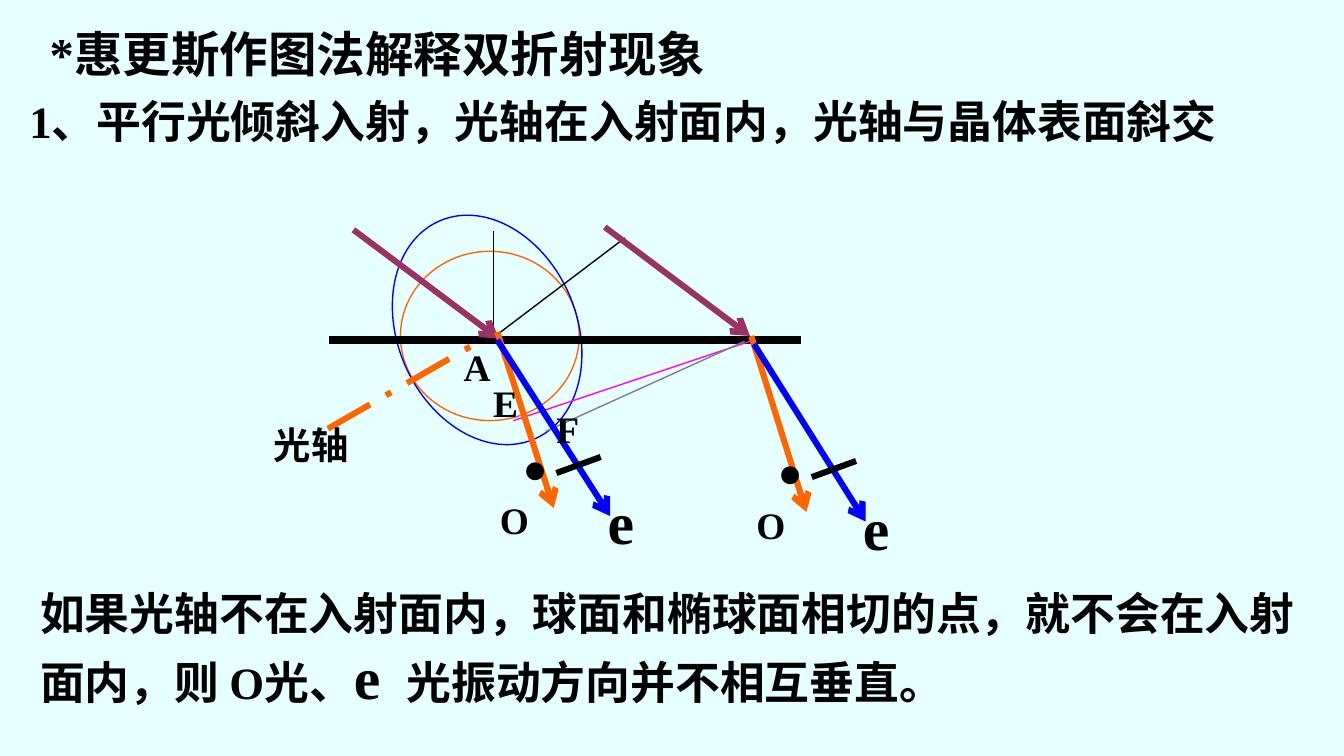
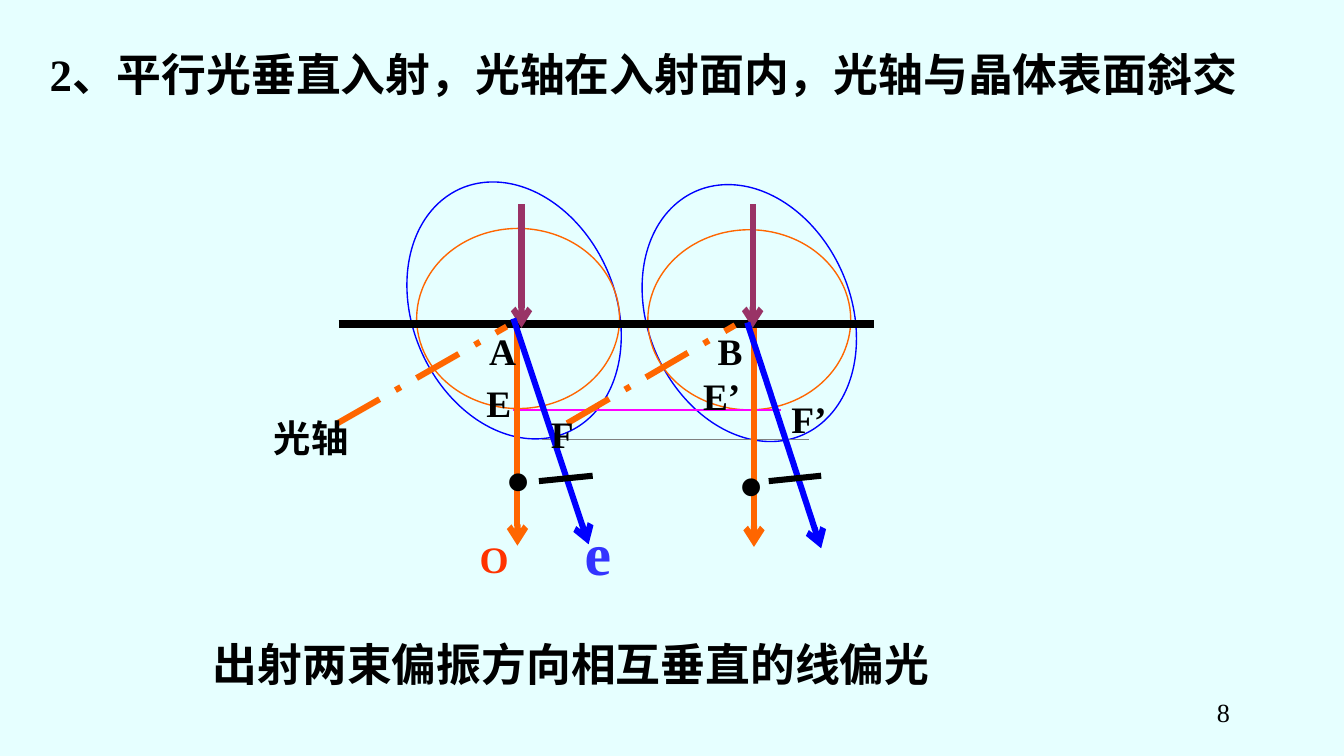
"""Build two slides on Huygens constructions for double refraction."""
from dataclasses import dataclass

from lxml import etree
from pptx import Presentation
from pptx import util as u
from pptx.dml.color import RGBColor
from pptx.enum import dml, shapes, text
from pptx.oxml.ns import qn


@dataclass(frozen=True)
class Theme:
    font: str = "Times New Roman"
    back: str = "E6FFFF"
    ink: str = "000000"
    o_ray: str = "FF6600"
    e_ray: str = "0000FF"
    incident: str = "993366"
    o_front: str = "FF00FF"
    e_front: str = "808080"
    o_label: str = "FF3300"
    e_label: str = "3333FF"
    heading: int = 26
    body: int = 24
    label: int = 20
    e_size: int = 32
    dot: int = 40
    number: int = 14
    thin: float = 0.75
    ray: float = 3.25
    surface: float = 4.5


T = Theme()
LEFT, CENTER, RIGHT = text.PP_ALIGN.LEFT, text.PP_ALIGN.CENTER, text.PP_ALIGN.RIGHT


def put_text(sp, words, box, size, color=T.ink, align=LEFT, bold=True, wrap=True):
    """Place a text shape, fill its first paragraph and return it."""
    sp.left, sp.top, sp.width, sp.height = map(u.Inches, box)
    tf = sp.text_frame
    tf.word_wrap = wrap
    tf.auto_size = text.MSO_AUTO_SIZE.SHAPE_TO_FIT_TEXT
    tf.vertical_anchor = text.MSO_ANCHOR.TOP
    p = tf.paragraphs[0]
    p.alignment = align
    p.font.name, p.font.size, p.font.bold = T.font, u.Pt(size), bold
    p.font.color.rgb = RGBColor.from_string(color)
    p.add_run().text = words
    return p


def add_line(s, x1, y1, x2, y2, color, width, arrow=False, dashed=False):
    """Draw a straight line, with an arrowhead at its end or dashes if asked."""
    sp = s.shapes.add_connector(shapes.MSO_CONNECTOR.STRAIGHT, *map(u.Inches, (x1, y1, x2, y2)))
    sp.line.color.rgb = RGBColor.from_string(color)
    sp.line.width = u.Pt(width)
    if dashed:
        sp.line.dash_style = dml.MSO_LINE.LONG_DASH_DOT
    if arrow:
        etree.SubElement(sp.line._ln, qn("a:tailEnd"), type="arrow")
    etree.SubElement(sp._element.spPr, qn("a:effectLst"))


prs = Presentation()
prs.slide_width = u.Inches(10)
prs.slide_height = prs.slide_width * 9 // 16

oblique = {
    "title": ("*惠更斯作图法解释双折射现象", (0.27, 0.13, 6.62, 0.54), T.heading),
    "waves": [
        (2.98, 1.87, 1.33, 1.26, 0, T.o_ray),
        (2.96, 1.57, 1.33, 1.77, 336.3, T.e_ray),
    ],
    "surface": (2.45, 2.53, 5.96, 2.53),
    "thin": [
        (3.66, 2.52, 4.65, 1.77, T.ink),
        (3.67, 1.72, 3.67, 2.53, T.ink),
        (3.82, 3.13, 5.58, 2.54, T.o_front),
        (4.06, 3.21, 5.54, 2.54, T.e_front),
    ],
    "axes": [(2.44, 3.19, 3.55, 2.55)],
    "rays": [
        (2.63, 1.71, 3.71, 2.52, T.incident),
        (4.5, 1.69, 5.58, 2.5, T.incident),
        (3.7, 2.47, 4.12, 3.78, T.o_ray),
        (3.7, 2.53, 4.54, 3.84, T.e_ray),
        (5.59, 2.5, 6, 3.81, T.o_ray),
        (5.61, 2.56, 6.44, 3.88, T.e_ray),
    ],
    "ticks": [(4.14, 3.52, 4.47, 3.4), (6.04, 3.55, 6.37, 3.43)],
    "dots": [(3.79, 3.09), (5.69, 3.12)],
    "labels": [
        ("光轴", 1.93, 3.09, 0.77, T.ink),
        ("A", 3.35, 2.51, 0.4, T.ink),
        ("E", 3.57, 2.78, 0.38, T.ink),
        ("F", 4.04, 2.97, 0.37, T.ink),
        ("O", 3.62, 3.65, 0.41, T.ink),
        ("O", 5.53, 3.69, 0.41, T.ink),
    ],
    "e_labels": [(4.42, 3.56, T.ink), (6.32, 3.6, T.ink)],
}

normal = {
    "title": ("2、平行光垂直入射，光轴在入射面内，光轴与晶体表面斜交", (0.27, 0.3, 9.29, 0.5), T.body),
    "waves": [
        (3.07, 1.32, 1.51, 1.98, 336.3, T.e_ray),
        (3.1, 1.7, 1.51, 1.34, 0, T.o_ray),
        (4.82, 1.34, 1.51, 1.98, 336.3, T.e_ray),
        (4.82, 1.71, 1.51, 1.34, 0, T.o_ray),
    ],
    "surface": (2.52, 2.41, 6.5, 2.41),
    "thin": [
        (3.82, 3.05, 5.81, 3.05, T.o_front),
        (4.03, 3.27, 6.02, 3.27, T.e_front),
    ],
    "axes": [(2.51, 3.15, 3.77, 2.43), (4.22, 3.15, 5.47, 2.42)],
    "rays": [
        (3.85, 2.44, 3.85, 4.06, T.o_ray),
        (5.61, 2.44, 5.61, 4.07, T.o_ray),
        (3.88, 1.52, 3.88, 2.44, T.incident),
        (5.6, 1.52, 5.6, 2.44, T.incident),
        (3.82, 2.37, 4.38, 4.05, T.e_ray),
        (5.56, 2.4, 6.11, 4.08, T.e_ray),
    ],
    "ticks": [(4.01, 3.58, 4.41, 3.54), (5.72, 3.58, 6.11, 3.54)],
    "dots": [(3.66, 3.17), (5.4, 3.21)],
    "labels": [
        ("光轴", 1.93, 3.04, 0.77, T.ink),
        ("A", 3.54, 2.39, 0.4, T.ink),
        ("E", 3.52, 2.78, 0.38, T.ink),
        ("F", 4, 3.01, 0.37, T.ink),
        ("B", 5.24, 2.39, 0.38, T.ink),
        ("E’", 5.13, 2.73, 0.48, T.ink),
        ("F’", 5.79, 2.9, 0.46, T.ink),
        ("O", 3.47, 3.94, 0.41, T.o_label),
    ],
    "e_labels": [(4.25, 3.79, T.e_label)],
}

for case in (oblique, normal):
    s = prs.slides.add_slide(prs.slide_layouts[5])
    s.background.fill.solid()
    s.background.fill.fore_color.rgb = RGBColor.from_string(T.back)
    put_text(s.shapes.title, *case["title"])

    for x, y, w, h, angle, color in case["waves"]:
        sp = s.shapes.add_shape(shapes.MSO_SHAPE.OVAL, *map(u.Inches, (x, y, w, h)))
        sp.rotation = angle
        sp.shadow.inherit = False
        sp.fill.background()
        sp.line.color.rgb = RGBColor.from_string(color)
        sp.line.width = u.Pt(T.thin)

    add_line(s, *case["surface"], T.ink, T.surface)
    for line in case["thin"]:
        add_line(s, *line, T.thin)
    for axis in case["axes"]:
        add_line(s, *axis, T.o_ray, T.ray, dashed=True)
    for ray in case["rays"]:
        add_line(s, *ray, T.ray, arrow=True)
    for tick in case["ticks"]:
        add_line(s, *tick, T.ink, T.ray)

    marks = [(words, (x, y, w, 0.44), T.label, color, True) for words, x, y, w, color in case["labels"]]
    marks += [("e", (x, y, 0.4, 0.64), T.e_size, color, True) for x, y, color in case["e_labels"]]
    marks += [("•", (x, y, 0.39, 0.77), T.dot, T.ink, False) for x, y in case["dots"]]
    for words, box, size, color, bold in marks:
        sp = s.shapes.add_textbox(0, 0, 0, 0)
        put_text(sp, words, box, size, color, CENTER, bold, wrap=False)

first, second = prs.slides
put_text(first.shapes.add_textbox(0, 0, 0, 0), "1、平行光倾斜入射，光轴在入射面内，光轴与晶体表面斜交",
         (0.12, 0.65, 9.25, 0.5), T.body)
p = put_text(first.shapes.add_textbox(0, 0, 0, 0),
             "如果光轴不在入射面内，球面和椭球面相切的点，就不会在入射面内，则 O光、",
             (0.2, 4.31, 9.8, 1.04), T.body)
r = p.add_run()
r.text = "e "
r.font.size = u.Pt(T.e_size)
p.add_run().text = " 光振动方向并不相互垂直。"

put_text(second.shapes.add_textbox(0, 0, 0, 0), "出射两束偏振方向相互垂直的线偏光",
         (0.5, 4.69, 7.5, 0.5), T.body, align=CENTER)
put_text(second.shapes.add_textbox(0, 0, 0, 0), "8", (7.17, 5.13, 2.08, 0.37), T.number,
         align=RIGHT, bold=False)

prs.save("out.pptx")
